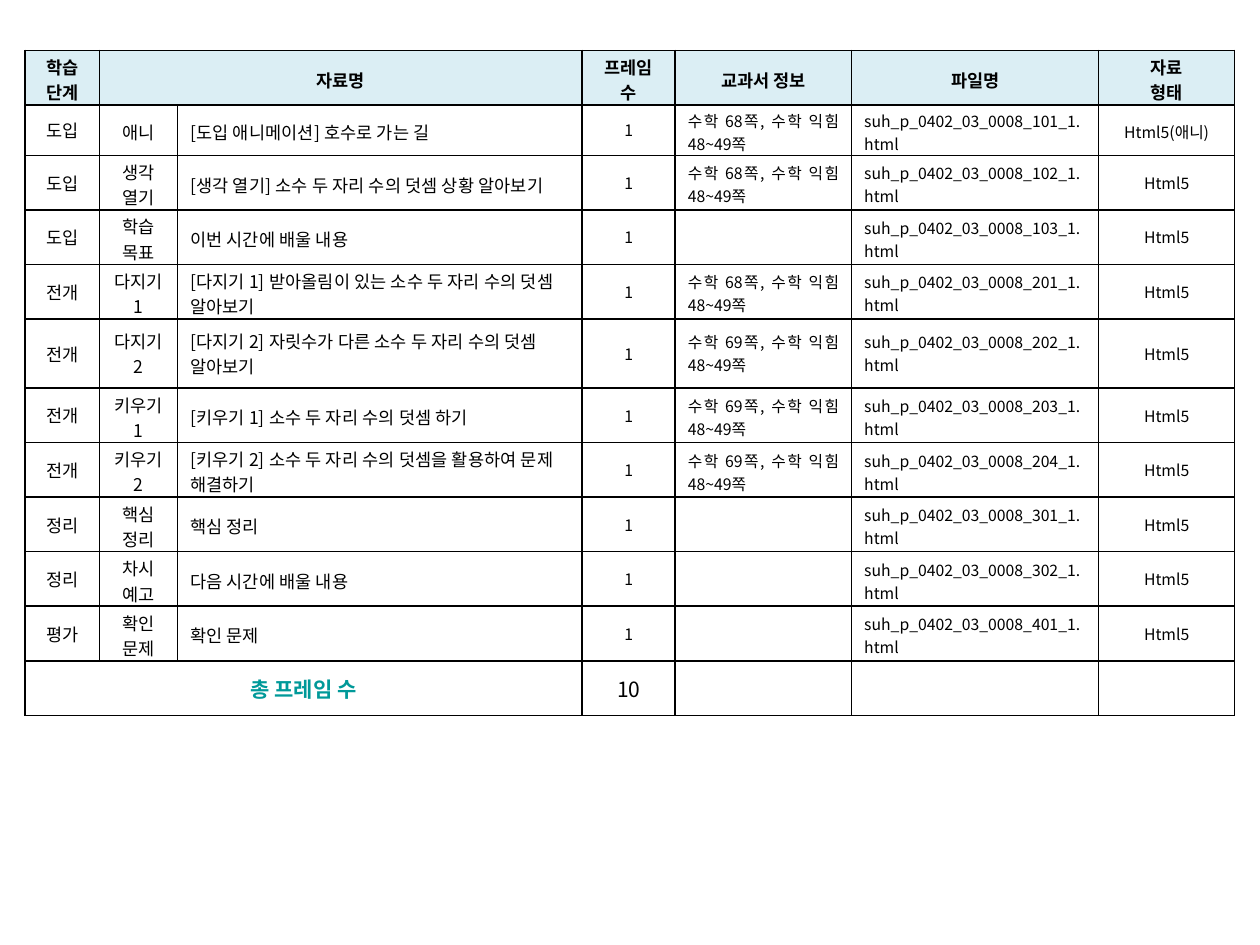
from lxml import etree
from pptx import Presentation
from pptx import util as u
from pptx.dml.color import RGBColor
from pptx.enum import text
from pptx.oxml.ns import qn

hue = {"ink": "000000", "head": "DBEEF4", "teal": "009999"}
face = "Noto Sans CJK KR"
mid, left, just = text.PP_ALIGN.CENTER, text.PP_ALIGN.LEFT, text.PP_ALIGN.JUSTIFY

deck = Presentation()
deck.slide_width, deck.slide_height = u.Inches(10), u.Inches(7.5)
page = deck.slides.add_slide(deck.slide_layouts[6])

heads = ["학습 단계", "자료명", "", "프레임 수", "교과서 정보", "파일명", "자료\n형태"]
items = [
    ("도입", "애니", "[도입 애니메이션] 호수로 가는 길", 68, 101),
    ("도입", "생각 열기", "[생각 열기] 소수 두 자리 수의 덧셈 상황 알아보기", 68, 102),
    ("도입", "학습 목표", "이번 시간에 배울 내용", None, 103),
    ("전개", "다지기 1", "[다지기 1] 받아올림이 있는 소수 두 자리 수의 덧셈 알아보기", 68, 201),
    ("전개", "다지기 2", "[다지기 2] 자릿수가 다른 소수 두 자리 수의 덧셈 알아보기", 69, 202),
    ("전개", "키우기 1", "[키우기 1] 소수 두 자리 수의 덧셈 하기", 69, 203),
    ("전개", "키우기 2", "[키우기 2] 소수 두 자리 수의 덧셈을 활용하여 문제 해결하기", 69, 204),
    ("정리", "핵심 정리", "핵심 정리", None, 301),
    ("정리", "차시 예고", "다음 시간에 배울 내용", None, 302),
    ("평가", "확인 문제", "확인 문제", None, 401),
]
rows = [heads]
for step, part, name, leaf, code in items:
    book = f"수학 {leaf}쪽, 수학 익힘 48~49쪽" if leaf else ""
    kind = "Html5(애니)" if part == "애니" else "Html5"
    rows.append([step, part, name, "1", book, f"suh_p_0402_03_0008_{code}_1.html", kind])
rows.append(["총 프레임 수", "", "", "10", "", "", ""])

wide = [0.59, 0.62, 3.21, 0.74, 1.4, 1.96, 1.08]
high, slim, deep = 5.28, 0.4, 0.55
tall = [(high - slim - deep) / (len(rows) - 2)] * len(rows)
tall[1], tall[5] = slim, deep
last = len(rows) - 1
align = [mid, mid, left, mid, just, just, mid]
sizes = [10, 10, 10, 9, 9, 9, 9]

frame = page.shapes.add_table(len(rows), len(wide), u.Inches(0.2), u.Inches(0.4),
                              u.Inches(sum(wide)), u.Inches(high))
grid = frame.table
grid.first_row = grid.horz_banding = False
for col, size in zip(grid.columns, wide):
    col.width = u.Inches(size)
for row, size in zip(grid.rows, tall):
    row.height = u.Inches(size)
grid.cell(0, 1).merge(grid.cell(0, 2))
grid.cell(last, 0).merge(grid.cell(last, 2))

for r, row in enumerate(rows):
    for c, words in enumerate(row):
        cell = grid.cell(r, c)
        cell.vertical_anchor = text.MSO_ANCHOR.MIDDLE
        cell.margin_top = u.Inches(0.05 if r == 5 else 0.03)
        cell.margin_bottom = u.Inches(0.05 if r == 5 else 0)
        if r == last or words in ("1", "Html5") or (c == 0 and r > 0):
            cell.margin_top = cell.margin_bottom = u.Inches(0.05)
        props = cell._tc.get_or_add_tcPr()
        for side in ("lnL", "lnR", "lnT", "lnB"):
            line = etree.SubElement(props, qn("a:" + side), w=str(u.Pt(1)))
            paint = etree.SubElement(line, qn("a:solidFill"))
            etree.SubElement(paint, qn("a:srgbClr"), val=hue["ink"])
        if r == 0:
            cell.fill.solid()
            cell.fill.fore_color.rgb = RGBColor.from_string(hue["head"])
        else:
            cell.fill.background()
        cell.text_frame.text = words
        total = r == last and c == 0
        for para in cell.text_frame.paragraphs:
            para.alignment = mid if r in (0, last) else align[c]
            if not words:
                para.font.size = u.Pt(9)
            for run in para.runs:
                font = run.font
                font.name = face
                font.size = u.Pt(10 if r == 0 else 12 if r == last else sizes[c])
                font.bold = r == 0 or total
                font.color.rgb = RGBColor.from_string(hue["teal" if total else "ink"])
                marks = run._r.get_or_add_rPr()
                etree.SubElement(marks, qn("a:ea"), typeface=face)
                if c == 2:
                    marks.set("spc", "10")

deck.save("out.pptx")
